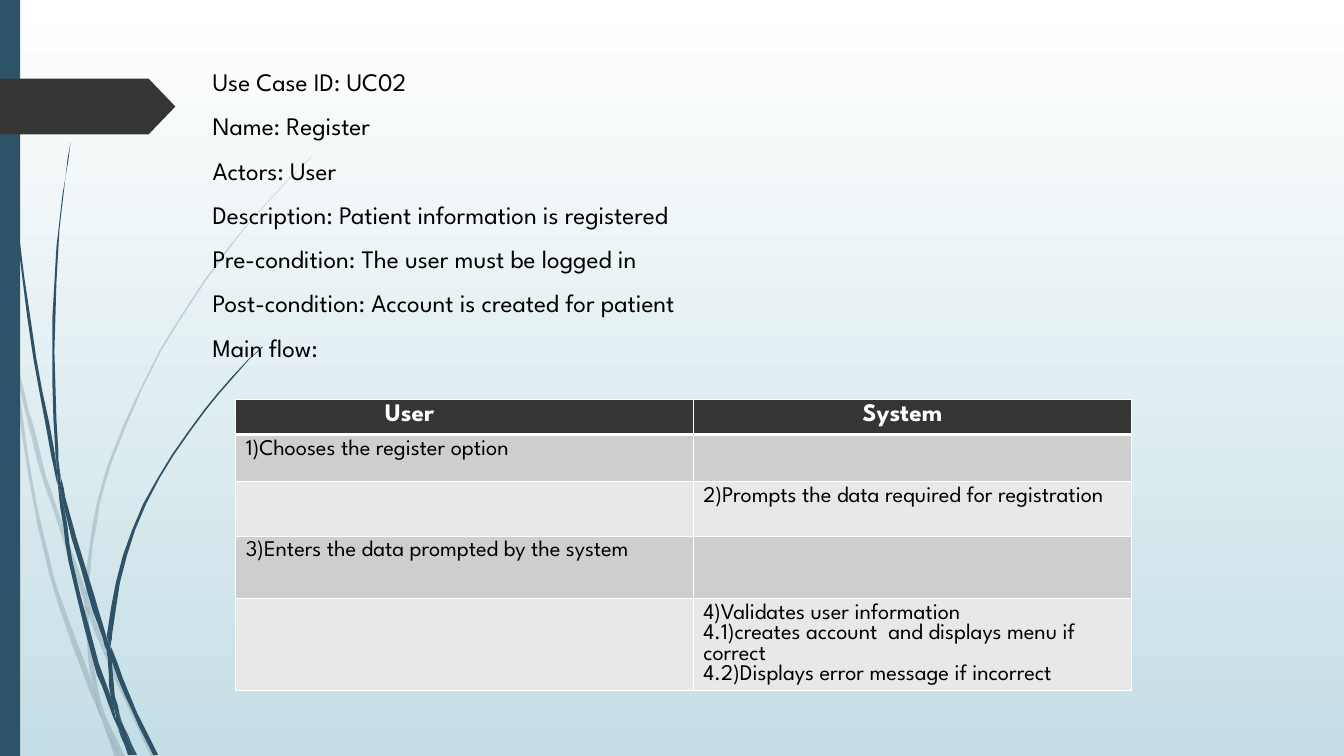
from dataclasses import dataclass
from typing import NamedTuple

from lxml import etree
from pptx import Presentation
from pptx.dml.color import RGBColor
from pptx.enum.shapes import MSO_SHAPE
from pptx.enum.text import MSO_ANCHOR
from pptx.oxml.ns import qn
from pptx.util import Cm, Pt

RECT = MSO_SHAPE.RECTANGLE
TAG = MSO_SHAPE.PENTAGON
TOP = MSO_ANCHOR.TOP


@dataclass(frozen=True)
class Theme:
    font: str = "League Spartan"
    body: int = 18
    cell: int = 16
    teal: str = "2E5369"
    dark: str = "353535"
    band_a: str = "CECECE"
    band_b: str = "E8E8E8"
    white: str = "FFFFFF"
    black: str = "000000"
    sky: str = "C5DEE5"


class Level(NamedTuple):
    """Left and right edge of a blade at one height, in 1/100 inch."""
    y: float
    left: float
    right: float


class Row(NamedTuple):
    height: float
    user: list[str]
    system: list[str]


T = Theme()
UNIT = Cm(0.0254)
STEPS = 3
CELL_LEADING = 0.915

FAINT_BLADES = [
    [(282, 0, 0), (299, 0, 4), (322, 5, 9), (344, 10, 10.5), (350, 11, 11)],
    [(345, 14, 14), (376, 17, 21), (425, 29, 33.5), (474, 42, 46.5),
     (522, 58, 62.6), (586, 80, 85), (599, 84, 84)],
    [(596, 88, 88), (610, 88, 93), (636, 98, 103), (693, 123, 127.5), (751, 150, 155)],
    [(711, 105, 105), (751, 119, 124)],
    [(350, 11, 11), (376, 13.7, 17), (470, 28, 31.2), (520, 37, 41), (570, 49, 53),
     (620, 64.7, 70.3), (683, 88, 93), (707, 98, 99), (714, 101, 101)],
    [(599, 84, 84), (610, 84.3, 88), (646, 87, 91), (683, 93, 97), (711, 105, 105)],
    [(153, 312, 312), (175, 289, 290), (197, 268, 269), (245, 227, 229),
     (348, 158, 160.5), (461, 107, 110), (520, 92, 95.5), (584, 85, 88), (596, 88, 88)],
    [(714, 101, 101), (751, 114, 119)],
    [(586, 85, 85), (596, 84.3, 88), (599, 84, 88), (610, 88, 88)],
    [(683, 93, 93), (692, 95, 96), (711, 100, 105), (751, 119, 119)],
]
DARK_BLADES = [
    [(0, 3, 4), (110, 7, 8), (233, 17, 19), (355, 33, 36), (453, 51, 55), (481, 57, 57)],
    [(472, 60, 60), (505, 64, 68), (592, 88, 93.5), (633, 101.5, 106), (645, 106, 106)],
    [(641, 110, 110), (656, 111, 115.5), (707, 131.7, 136.5), (749, 152, 157)],
    [(477, 57, 57), (505, 60.5, 64), (557, 68, 72.2), (658, 92.8, 98),
     (691, 105, 110), (708, 111, 114.5), (722, 117, 117)],
    [(141, 70, 70), (193, 62, 63), (245, 56, 58), (349, 51.5, 54),
     (449, 55, 57.5), (472, 60, 60)],
    [(719, 122, 122), (749, 133, 136)],
    [(449, 55, 55), (472, 57, 60), (477, 57, 60.5), (505, 64, 64)],
    [(344, 260, 261), (358, 245, 246), (406, 203, 205), (475, 155.5, 158.5),
     (551, 122, 125.5), (631, 106, 111), (641, 110, 110)],
    [(722, 117, 117), (749, 127, 131)],
    [(645, 106, 106), (656, 107, 111), (691, 110, 114.5), (719, 122, 122)],
    [(631, 106, 106), (645, 106, 110), (656, 111, 111)],
    [(691, 110, 110), (706, 114, 116), (719, 116.5, 122), (749, 130, 133)],
]

DETAILS = [
    "Use Case ID: UC02",
    "Name: Register",
    "Actors: User",
    "Description: Patient information is registered",
    "Pre-condition: The user must be logged in",
    "Post-condition: Account is created for patient",
    "Main flow:",
]

COLUMNS = [11.53, 11.05]
HEADER_INDENTS = [3.76, 4.27]
FLOW = [
    Row(0.89, ["User"], ["System"]),
    Row(1.19, ["1)Chooses the register option"], []),
    Row(1.37, [], ["2)Prompts the data required for registration"]),
    Row(1.57, ["3)Enters the data prompted by the system"], []),
    Row(2.3, [], ["4)Validates user information",
                  "4.1)creates account  and displays menu if correct",
                  "4.2)Displays error message if incorrect"]),
]


def paint(sp, color: str, opacity: int = 100) -> None:
    sp.shadow.inherit = False
    sp.line.fill.background()
    sp.fill.solid()
    sp.fill.fore_color.rgb = RGBColor.from_string(color)
    if opacity < 100:
        clr = sp.fill._xPr.find(qn("a:solidFill"))[0]
        etree.SubElement(clr, qn("a:alpha"), val=str(opacity * 1000))


def write(tf, lines: list[str], size: int, color: str, bold: bool = False) -> None:
    for i, line in enumerate(lines):
        p = tf.paragraphs[0] if i == 0 else tf.add_paragraph()
        r = p.add_run()
        r.text = line
        r.font.name = T.font
        r.font.size = Pt(size)
        r.font.bold = bold
        r.font.color.rgb = RGBColor.from_string(color)


def smooth(edge: list[tuple[float, float]]) -> list[tuple[float, float]]:
    """Cubic Hermite curve through (x, y) points that run down the slide."""
    ends = [edge[0], *edge, edge[-1]]
    slopes = [(c[0] - a[0]) / (c[1] - a[1]) for a, c in zip(ends, ends[2:])]
    out = []
    for (x0, y0), (x1, y1), m0, m1 in zip(edge, edge[1:], slopes, slopes[1:]):
        h = y1 - y0
        for k in range(STEPS):
            t = k / STEPS
            bend = (1 - t) * m0 * h - t * m1 * h + (2 * t - 1) * (x1 - x0)
            out.append((x0 + t * (x1 - x0) + t * (1 - t) * bend, y0 + t * h))
    return out + [edge[-1]]


def draw_blade(shapes, levels: list[Level], opacity: int) -> None:
    left = smooth([(lv.left, lv.y) for lv in levels])
    right = smooth([(lv.right, lv.y) for lv in levels])
    fb = shapes.build_freeform(*left[0], scale=UNIT)
    fb.add_line_segments(left[1:] + right[::-1], close=True)
    paint(fb.convert_to_shape(), T.teal, opacity)


def set_borders(cell, widths: dict[str, int]) -> None:
    tc_pr = cell._tc.get_or_add_tcPr()
    for i, (side, width) in enumerate(widths.items()):
        ln = etree.Element(qn(f"a:{side}"), w=str(Pt(width)))
        fill = etree.SubElement(ln, qn("a:solidFill"))
        etree.SubElement(fill, qn("a:srgbClr"), val=T.white)
        tc_pr.insert(i, ln)


def draw_flow(shapes) -> None:
    frame = shapes.add_table(len(FLOW), len(COLUMNS), Cm(5.94), Cm(10.06),
                             Cm(sum(COLUMNS)), Cm(sum(row.height for row in FLOW)))
    table = frame.table
    for col, width in zip(table.columns, COLUMNS):
        col.width = Cm(width)
    for i, row in enumerate(FLOW):
        table.rows[i].height = Cm(row.height)
        header = i == 0
        band = T.dark if header else T.band_a if i % 2 else T.band_b
        size = T.body if header else T.cell
        for j, lines in enumerate((row.user, row.system)):
            cell = table.cell(i, j)
            cell.fill.solid()
            cell.fill.fore_color.rgb = RGBColor.from_string(band)
            set_borders(cell, {"lnL": 1, "lnR": 1, "lnT": 3 if i == 1 else 1,
                               "lnB": 3 if header else 1})
            if header:
                cell.margin_left = Cm(HEADER_INDENTS[j])
            write(cell.text_frame, lines, size, T.white if header else T.black, header)
            for p in cell.text_frame.paragraphs:
                p.line_spacing = Pt(size * CELL_LEADING)


prs = Presentation()
prs.slide_width, prs.slide_height = Cm(33.87), Cm(19.05)
s = prs.slides.add_slide(prs.slide_layouts[6])

# Background
bg = s.background.fill
bg.gradient()
bg.gradient_angle = 270
for stop, color in zip(bg.gradient_stops, (T.white, T.sky)):
    stop.color.rgb = RGBColor.from_string(color)

# Grass blades, side bar and tag
for blades, opacity in ((FAINT_BLADES, 20), (DARK_BLADES, 100)):
    for blade in blades:
        draw_blade(s.shapes, [Level(*lv) for lv in blade], opacity)
bar = s.shapes.add_shape(RECT, 0, 0, Cm(0.51), prs.slide_height)
paint(bar, T.teal)
tag = s.shapes.add_shape(TAG, 0, Cm(1.98), Cm(4.42), Cm(1.41))
tag.adjustments[0] = 0.48
paint(tag, T.dark)

# Use case details
box = s.shapes.add_textbox(Cm(5.11), Cm(1.55), Cm(28.75), Cm(15.95))
tf = box.text_frame
tf.word_wrap = True
tf.vertical_anchor = TOP
write(tf, DETAILS, T.body, T.black)
for p in tf.paragraphs:
    p.space_before = Pt(10)

# Main flow
draw_flow(s.shapes)

prs.save("out.pptx")
